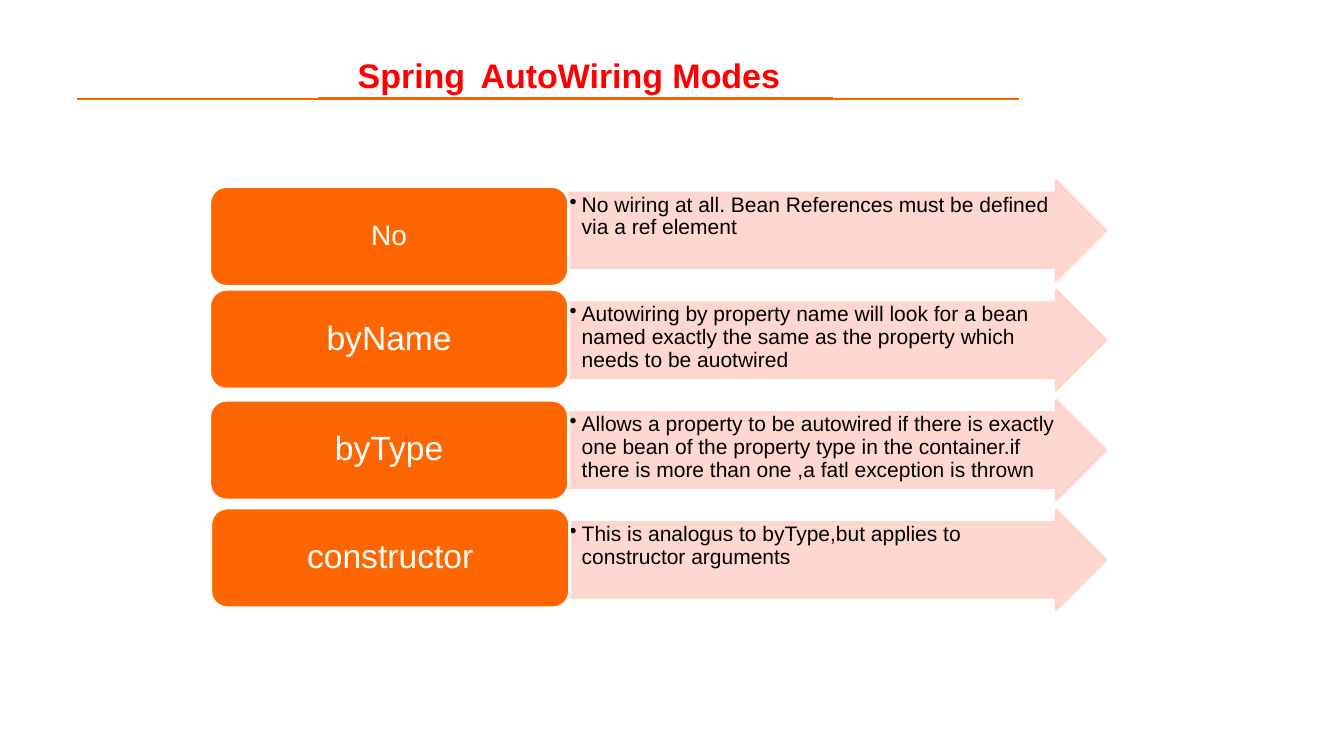
from dataclasses import dataclass

from lxml.etree import SubElement as Sub
from pptx import Presentation
from pptx.dml.color import RGBColor as Rgb
from pptx.enum.shapes import MSO_CONNECTOR as Link, MSO_SHAPE as Kind
from pptx.enum.text import MSO_ANCHOR as Anchor, PP_ALIGN as Align
from pptx.oxml.ns import qn
from pptx.util import Inches, Pt


@dataclass(frozen=True)
class Theme:
    font: str = "Arial"
    red: str = "FF0000"
    rule: str = "F96400"
    box: str = "FF6600"
    arrow: str = "FFD3CC"
    white: str = "FFFFFF"
    black: str = "000000"
    title: float = 24.3
    gap: float = 39.6
    body: float = 15
    edge: float = 2


@dataclass(frozen=True)
class Mode:
    name: str
    note: str
    top: float
    left: float = 2.08
    size: float = 24


@dataclass(frozen=True)
class Rule:
    start: float
    end: float
    width: float


THEME = Theme()
RULE_Y = 0.98
ROW_TOP, ROW_STEP, ROW_HIGH = 1.79, 1.09, 0.99

RULES = [Rule(0.76, 10.11, 1.5), Rule(3.15, 8.26, 2.25)]
MODES = [
    Mode("No", "No wiring at all. Bean References must be defined via a ref element",
         1.85, size=20),
    Mode("byName", "Autowiring by property name will look for a bean named exactly "
         "the same as the property which needs to be auotwired", 2.87),
    Mode("byType", "Allows a property to be autowired if there is exactly one bean of "
         "the property type in the container.if there is more than one ,a fatl "
         "exception is thrown", 3.97),
    Mode("constructor", "This is analogus to byType,but applies to constructor "
         "arguments", 5.04, left=2.09),
]


def set_frame(frame, side: float, edge: float, anchor) -> None:
    frame.word_wrap = True
    frame.margin_left = frame.margin_right = Inches(side)
    frame.margin_top = frame.margin_bottom = Inches(edge)
    frame.vertical_anchor = anchor


def add_run(para, text: str, size: float, color: str, bold: bool = False) -> None:
    run = para.add_run()
    run.text = text
    run.font.name = THEME.font
    run.font.size = Pt(size)
    run.font.bold = bold
    run.font.color.rgb = Rgb.from_string(color)


def add_block(slide, kind, left: float, top: float, wide: float,
              fill: str, line: str):
    shape = slide.shapes.add_shape(
        kind, Inches(left), Inches(top), Inches(wide), Inches(ROW_HIGH))
    shape.shadow.inherit = False
    shape.fill.solid()
    shape.fill.fore_color.rgb = Rgb.from_string(fill)
    shape.line.color.rgb = Rgb.from_string(line)
    shape.line.width = Pt(THEME.edge)
    return shape


def fade(shape, percent: int) -> None:
    for color in shape.element.spPr.iter(qn("a:srgbClr")):
        Sub(color, qn("a:alpha"), val=str(percent * 1000))


def add_bullet(para) -> None:
    props = para._p.get_or_add_pPr()
    props.set("marL", str(Inches(0.12)))
    props.set("indent", str(-Inches(0.12)))
    color = Sub(props, qn("a:buClr"))
    Sub(color, qn("a:srgbClr"), val=THEME.black)
    Sub(props, qn("a:buChar"), char="•")


def add_title(slide) -> None:
    box = slide.shapes.add_textbox(
        Inches(3.45), Inches(0.4), Inches(5.14), Inches(0.57))
    set_frame(box.text_frame, 0.1, 0, Anchor.TOP)
    para = box.text_frame.paragraphs[0]
    para.line_spacing = 0.9
    add_run(para, "Spring", THEME.title, THEME.red, True)
    add_run(para, " ", THEME.gap, THEME.black)
    add_run(para, "AutoWiring Modes", THEME.title, THEME.red, True)


def add_rule(slide, rule: Rule) -> None:
    line = slide.shapes.add_connector(
        Link.STRAIGHT, Inches(rule.start), Inches(RULE_Y),
        Inches(rule.end), Inches(RULE_Y))
    line.line.color.rgb = Rgb.from_string(THEME.rule)
    line.line.width = Pt(rule.width)
    Sub(line.element.spPr, qn("a:effectLst"))


def add_mode(slide, mode: Mode, top: float) -> None:
    # Arrow with the description
    arrow = add_block(slide, Kind.RIGHT_ARROW, 5.64, top, 5.33,
                      THEME.arrow, THEME.arrow)
    arrow.adjustments[0] = 0.75
    arrow.adjustments[1] = 0.5
    fade(arrow, 90)
    set_frame(arrow.text_frame, 0.01, 0.01, Anchor.TOP)
    para = arrow.text_frame.paragraphs[0]
    add_bullet(para)
    para.alignment = Align.LEFT
    para.line_spacing = 0.9
    add_run(para, mode.note, THEME.body, THEME.black)

    # Box with the mode name
    box = add_block(slide, Kind.ROUNDED_RECTANGLE, mode.left, mode.top, 3.56,
                    THEME.box, THEME.white)
    set_frame(box.text_frame, 0.08, 0.04, Anchor.MIDDLE)
    para = box.text_frame.paragraphs[0]
    para.alignment = Align.CENTER
    para.line_spacing = 0.9
    add_run(para, mode.name, mode.size, THEME.white)


def main() -> None:
    deck = Presentation()
    deck.slide_width, deck.slide_height = Inches(13.33), Inches(7.5)
    slide = deck.slides.add_slide(deck.slide_layouts[6])

    # Heading and its double rule
    add_title(slide)
    for rule in RULES:
        add_rule(slide, rule)

    # One row per mode
    for row, mode in enumerate(MODES):
        add_mode(slide, mode, ROW_TOP + row * ROW_STEP)

    deck.save("out.pptx")


if __name__ == "__main__":
    main()
